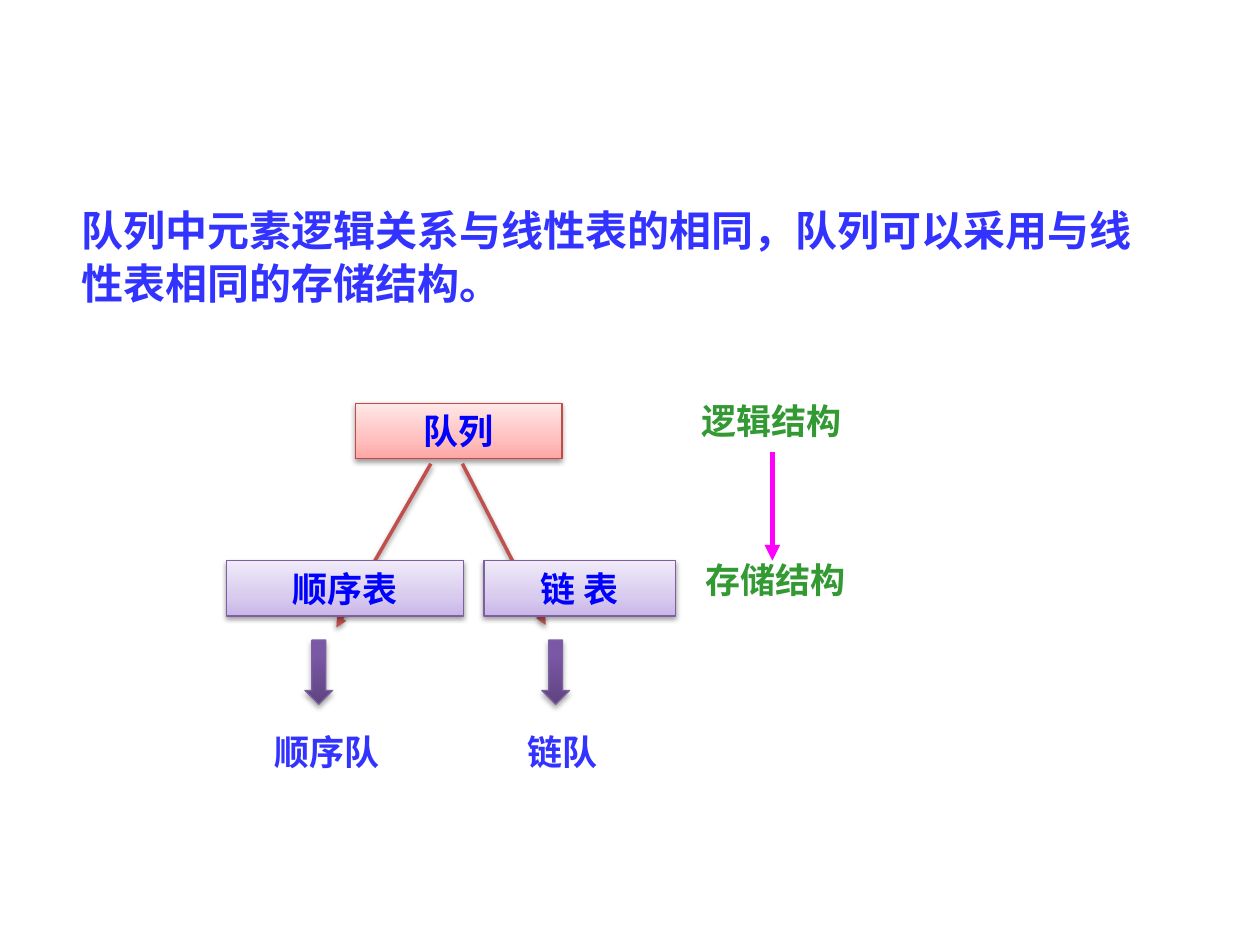
from dataclasses import dataclass
from typing import NamedTuple, Optional

from lxml import etree
from pptx import Presentation, util as u
from pptx.dml.color import RGBColor
from pptx.enum import shapes, text
from pptx.oxml import ns

COLS, ROWS = 40, 30
CELL = u.Inches(0.25)


class TextStyle(NamedTuple):
    size: int
    color: str
    font: str
    align: text.PP_ALIGN = text.PP_ALIGN.LEFT
    spacing: Optional[int] = None


class Paint(NamedTuple):
    stops: tuple  # (percent, colour), from the bottom up
    line: str
    shadow: tuple  # opacity percent, distance in points


CENTER = text.PP_ALIGN.CENTER


@dataclass(frozen=True)
class Theme:
    east_asian: str = "Noto Sans CJK SC"
    intro: TextStyle = TextStyle(24, "3333FF", "Times New Roman", spacing=30)
    level: TextStyle = TextStyle(20, "339933", "Noto Sans CJK SC")
    root: TextStyle = TextStyle(20, "0000FF", "Calibri", CENTER)
    storage: TextStyle = TextStyle(20, "0000FF", "Noto Sans CJK SC", CENTER)
    result: TextStyle = TextStyle(20, "3333FF", "Noto Sans CJK JP", CENTER)
    red: Paint = Paint(((0, "FFA6A5"), (35, "FFC0BF"), (100, "FFE7E7")), "BF4C48", (38, 1.6))
    lilac: Paint = Paint(((0, "C9B5E8"), (35, "D8CBEE"), (100, "F0EAF9")), "7D60A0", (38, 1.6))
    purple: Paint = Paint(((0, "5F4480"), (80, "7B58A6"), (100, "7C57A8")), "7D60A0", (35, 1.8))
    branch: str = "C0504D"
    mapping: str = "FF00FF"


class Area(NamedTuple):
    """A place on the grid, in columns and rows."""
    col: float
    row: float
    cols: float
    rows: float = 1.76

    def emu(self) -> list:
        return [round(n * CELL) for n in self]


class Branch(NamedTuple):
    """One storage form of the queue, from the root down to its result."""
    start: tuple
    end: tuple
    box: Area
    label: str
    arrow_col: float
    result_col: float
    result: str


THEME = Theme()
BRANCHES = (
    Branch((13.68, 14.72), (10.68, 19.92), Area(7.2, 17.8, 7.52), "顺序表", 9.68, 5.52, "顺序队"),
    Branch((14.68, 14.72), (17.32, 19.84), Area(15.36, 17.8, 6.08), "链 表", 17.2, 13, "链队"),
)


def add_xml(parent, tag: str, **attrs):
    return etree.SubElement(parent, ns.qn(tag), attrs)


def write(sp, content: str, style: TextStyle) -> None:
    tf = sp.text_frame
    tf.word_wrap = True
    tf.text = content
    p = tf.paragraphs[0]
    p.alignment = style.align
    if style.spacing:
        p.line_spacing = u.Pt(style.spacing)
    r = p.runs[0]
    r.font.size, r.font.bold, r.font.name = u.Pt(style.size), True, style.font
    r.font.color.rgb = RGBColor.from_string(style.color)
    add_xml(r.font._element, "a:ea", typeface=THEME.east_asian)


def add_label(s, area: Area, content: str, style: TextStyle) -> None:
    write(s.shapes.add_textbox(*area.emu()), content, style)


def set_effects(sp, shadow: Optional[tuple]) -> None:
    """Give a soft shadow straight below, or none."""
    effects = add_xml(sp._element.spPr, "a:effectLst")
    if shadow:
        opacity, distance = shadow
        outer = add_xml(effects, "a:outerShdw", blurRad=str(u.Pt(3.1)),
                        dist=str(u.Pt(distance)), dir="5400000", rotWithShape="0")
        color = add_xml(outer, "a:srgbClr", val="000000")
        add_xml(color, "a:alpha", val=str(opacity * 1000))


def add_painted(s, kind: shapes.MSO_SHAPE, area: Area, paint: Paint):
    sp = s.shapes.add_shape(kind, *area.emu())
    sp.fill.gradient()
    sp.fill.gradient_angle = 90
    stops = sp._element.spPr.find(".//" + ns.qn("a:gsLst"))
    for stop in list(stops):
        stops.remove(stop)
    for percent, color in paint.stops:
        stop = add_xml(stops, "a:gs", pos=str(percent * 1000))
        add_xml(stop, "a:srgbClr", val=color)
    sp.line.color.rgb = RGBColor.from_string(paint.line)
    sp.line.width = u.Pt(0.75)
    set_effects(sp, paint.shadow)
    return sp


def add_box(s, area: Area, content: str, paint: Paint, style: TextStyle) -> None:
    write(add_painted(s, shapes.MSO_SHAPE.RECTANGLE, area, paint), content, style)


def add_arrow(s, start: tuple, end: tuple, color: str, width: float,
              shadow: Optional[tuple] = None) -> None:
    points = [round(n * CELL) for n in start + end]
    sp = s.shapes.add_connector(shapes.MSO_CONNECTOR.STRAIGHT, *points)
    sp.line.color.rgb = RGBColor.from_string(color)
    sp.line.width = u.Pt(width)
    add_xml(sp._element.spPr.find(ns.qn("a:ln")), "a:tailEnd", type="triangle")
    set_effects(sp, shadow)


def main() -> None:
    prs = Presentation()
    prs.slide_width, prs.slide_height = COLS * CELL, ROWS * CELL
    s = prs.slides.add_slide(prs.slide_layouts[6])

    add_label(s, Area(2.2, 6.24, 35.32, 3.76),
              "队列中元素逻辑关系与线性表的相同，队列可以采用与线性表相同的存储结构。", THEME.intro)
    add_label(s, Area(21.88, 12.48, 8.4), "逻辑结构", THEME.level)
    add_label(s, Area(22, 17.52, 8.92), "存储结构", THEME.level)
    add_arrow(s, (24.52, 14.36), (24.52, 17.8), THEME.mapping, 3)

    add_box(s, Area(11.28, 12.8, 6.56), "队列", THEME.red, THEME.root)
    for b in BRANCHES:
        add_arrow(s, b.start, b.end, THEME.branch, 2, THEME.red.shadow)
    for b in BRANCHES:
        add_box(s, b.box, b.label, THEME.lilac, THEME.storage)
        add_label(s, Area(b.result_col, 23, 9.72), b.result, THEME.result)
        add_painted(s, shapes.MSO_SHAPE.DOWN_ARROW,
                    Area(b.arrow_col, 20.32, 0.88, 2.04), THEME.purple)

    prs.save("out.pptx")


if __name__ == "__main__":
    main()
